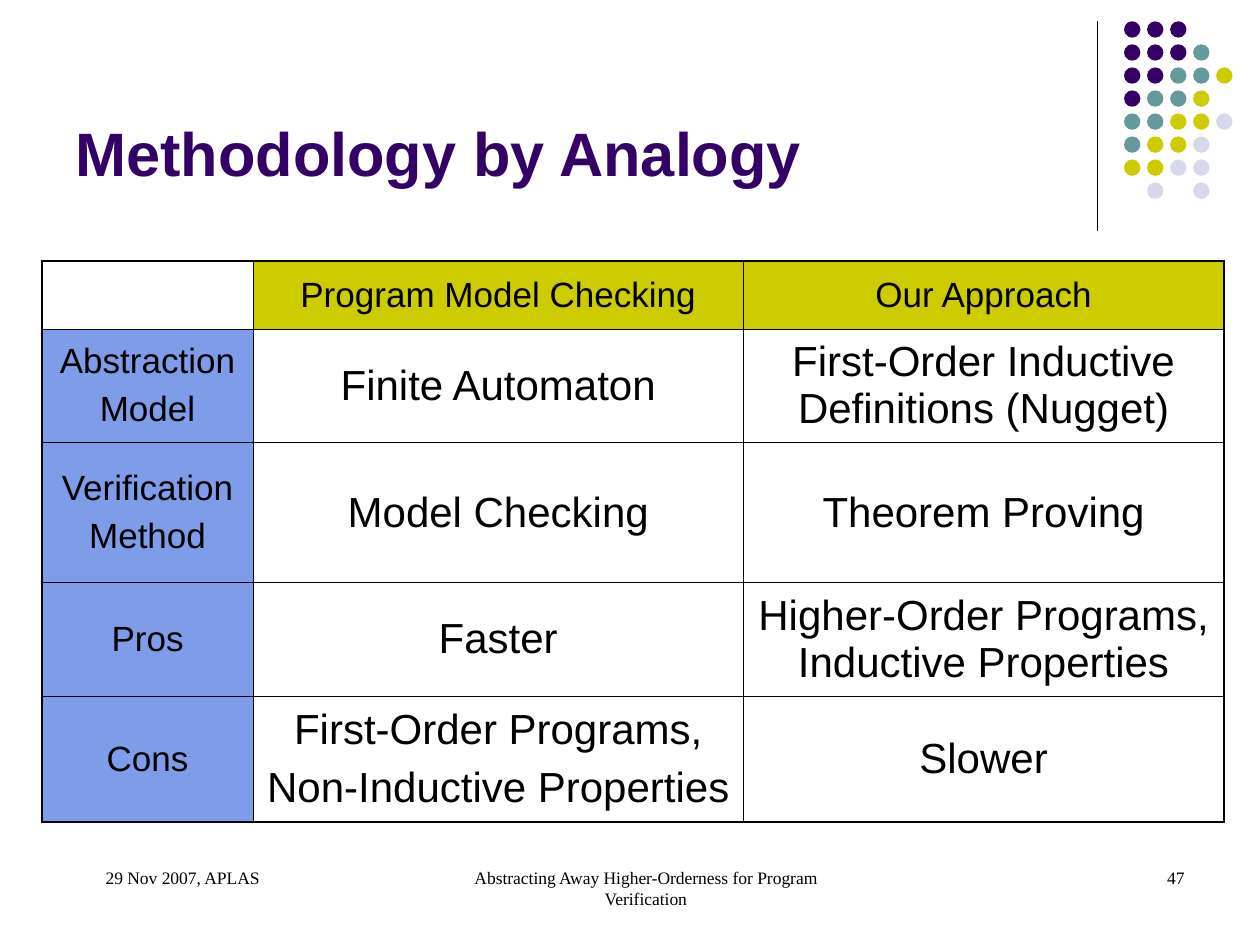
from lxml.etree import SubElement
from pptx import Presentation
from pptx.dml.color import RGBColor
from pptx.enum.shapes import MSO_CONNECTOR as CONNECTOR, MSO_SHAPE as SHAPE
from pptx.enum.text import MSO_ANCHOR as ANCHOR, PP_ALIGN as ALIGN
from pptx.oxml.ns import qn
from pptx.util import Cm, Pt

COLORS = {
    "black": "000000",
    "purple": "330066",
    "teal": "669999",
    "olive": "CCCC00",
    "lavender": "D8D8EC",
    "blue": "7E9CE8",
}

DOT_ROWS = ["PPP", "PPPT", "PPTTO", "PTTO", "TTOOL", "TOOL", "OOLL", " L L"]
DOT_COLORS = {"P": "purple", "T": "teal", "O": "olive", "L": "lavender"}
DOT_LEFT, DOT_TOP, DOT_SIZE = 22.66, 0.43, 0.33
DOT_PITCH = 3.25 / 7

COLUMN_WIDTHS = [4.27, 9.87, 9.7]
ROW_HEIGHTS = [1.37, 2.29, 2.82, 2.29, 2.54]
COMPARISON = [
    ["", "Program Model Checking", "Our Approach"],
    ["Abstraction\nModel", "Finite Automaton",
     "First-Order Inductive Definitions (Nugget)"],
    ["Verification\nMethod", "Model Checking", "Theorem Proving"],
    ["Pros", "Faster", "Higher-Order Programs, Inductive Properties"],
    ["Cons", "First-Order Programs,\nNon-Inductive Properties", "Slower"],
]
INNER_BORDER, OUTER_BORDER = 0.45, 1.08

TITLE_FONT = {"name": "Arial", "size": Pt(35), "bold": True}
HEADING_FONT = {"name": "Arial", "size": Pt(20)}
BODY_FONT = {"name": "Arial", "size": Pt(24)}
FOOTER_FONT = {"name": "Times New Roman", "size": Pt(10)}


def rgb(color):
    return RGBColor.from_string(COLORS[color])


def write_text(frame, text, font, color="black", **paragraph_format):
    frame.text = text
    for paragraph in frame.paragraphs:
        for name, value in paragraph_format.items():
            setattr(paragraph, name, value)
        for name, value in font.items():
            setattr(paragraph.font, name, value)
        paragraph.font.color.rgb = rgb(color)


def add_text(slide, box, text, font, color="black", anchor=ANCHOR.TOP,
             align=ALIGN.LEFT, margin=0):
    shape = slide.shapes.add_textbox(*map(Cm, box))
    frame = shape.text_frame
    frame.word_wrap = True
    frame.vertical_anchor = anchor
    write_text(frame, text, font, color, alignment=align)
    if margin:
        for paragraph in frame.paragraphs:
            paragraph._p.get_or_add_pPr().set("marL", str(Cm(margin)))


def add_divider(slide):
    line = slide.shapes.add_connector(
        CONNECTOR.STRAIGHT, Cm(22.12), Cm(0.43), Cm(22.12), Cm(4.65))
    line.line.color.rgb = rgb("black")
    line.line.width = Pt(0.75)
    SubElement(line._element.spPr, qn("a:effectLst"))


def add_dots(slide):
    for row, letters in enumerate(DOT_ROWS):
        for column, letter in enumerate(letters):
            if letter == " ":
                continue
            dot = slide.shapes.add_shape(
                SHAPE.OVAL, Cm(DOT_LEFT + column * DOT_PITCH),
                Cm(DOT_TOP + row * DOT_PITCH), Cm(DOT_SIZE), Cm(DOT_SIZE))
            dot.shadow.inherit = False
            dot.fill.solid()
            dot.fill.fore_color.rgb = rgb(DOT_COLORS[letter])
            dot.line.fill.background()


def set_borders(cell, outer_sides):
    properties = cell._tc.get_or_add_tcPr()
    for side in "LRTB":
        width = OUTER_BORDER if side in outer_sides else INNER_BORDER
        line = SubElement(properties, qn(f"a:ln{side}"), w=str(Pt(width)))
        fill = SubElement(line, qn("a:solidFill"))
        SubElement(fill, qn("a:srgbClr"), val=COLORS["black"])


def fill_cell(cell, color):
    if color:
        cell.fill.solid()
        cell.fill.fore_color.rgb = rgb(color)
    else:
        cell.fill.background()


def add_comparison(slide):
    rows, columns = len(ROW_HEIGHTS), len(COLUMN_WIDTHS)
    table = slide.shapes.add_table(
        rows, columns, Cm(0.84), Cm(5.26),
        Cm(sum(COLUMN_WIDTHS)), Cm(sum(ROW_HEIGHTS))).table
    table.first_row = table.horz_banding = False
    for column, width in zip(table.columns, COLUMN_WIDTHS):
        column.width = Cm(width)
    for row, height in zip(table.rows, ROW_HEIGHTS):
        row.height = Cm(height)
    for r, texts in enumerate(COMPARISON):
        for c, text in enumerate(texts):
            cell = table.cell(r, c)
            edges = {"L": c == 0, "R": c == columns - 1,
                     "T": r == 0, "B": r == rows - 1}
            set_borders(cell, [side for side, outer in edges.items() if outer])
            if not text:
                color = None
            elif r == 0:
                color = "olive"
            else:
                color = "blue" if c == 0 else None
            fill_cell(cell, color)
            cell.vertical_anchor = ANCHOR.MIDDLE
            heading = r == 0 or c == 0
            write_text(cell.text_frame, text,
                       HEADING_FONT if heading else BODY_FONT,
                       alignment=ALIGN.CENTER,
                       space_before=Pt(5 if heading else 6))


def add_footer(slide):
    for left, width, text, align in [
        (8.69, 8.05, "Abstracting Away Higher-Orderness for Program Verification",
         ALIGN.CENTER),
        (18.21, 5.92, "47", ALIGN.RIGHT),
        (1.27, 5.92, "29 Nov 2007, APLAS", ALIGN.LEFT),
    ]:
        add_text(slide, (left, 17.35, width, 1.27), text, FOOTER_FONT,
                 align=align, margin=0.61)


def main():
    presentation = Presentation()
    presentation.slide_width = Cm(25.4)
    presentation.slide_height = Cm(19.05)
    slide = presentation.slides.add_slide(presentation.slide_layouts[6])
    add_divider(slide)
    add_dots(slide)
    add_text(slide, (1.27, 0.33, 20.96, 3.61), "Methodology by Analogy",
             TITLE_FONT, "purple", ANCHOR.BOTTOM)
    add_comparison(slide)
    add_footer(slide)
    presentation.save("out.pptx")


if __name__ == "__main__":
    main()
